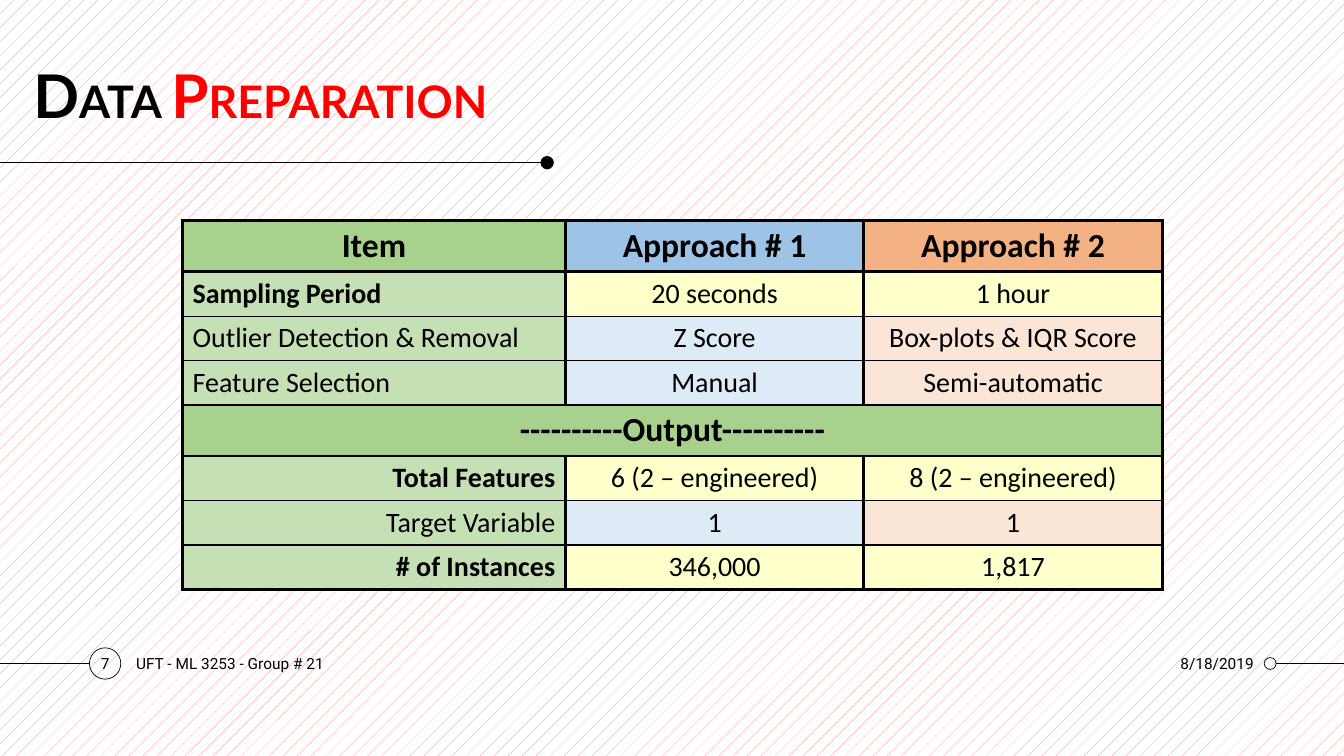
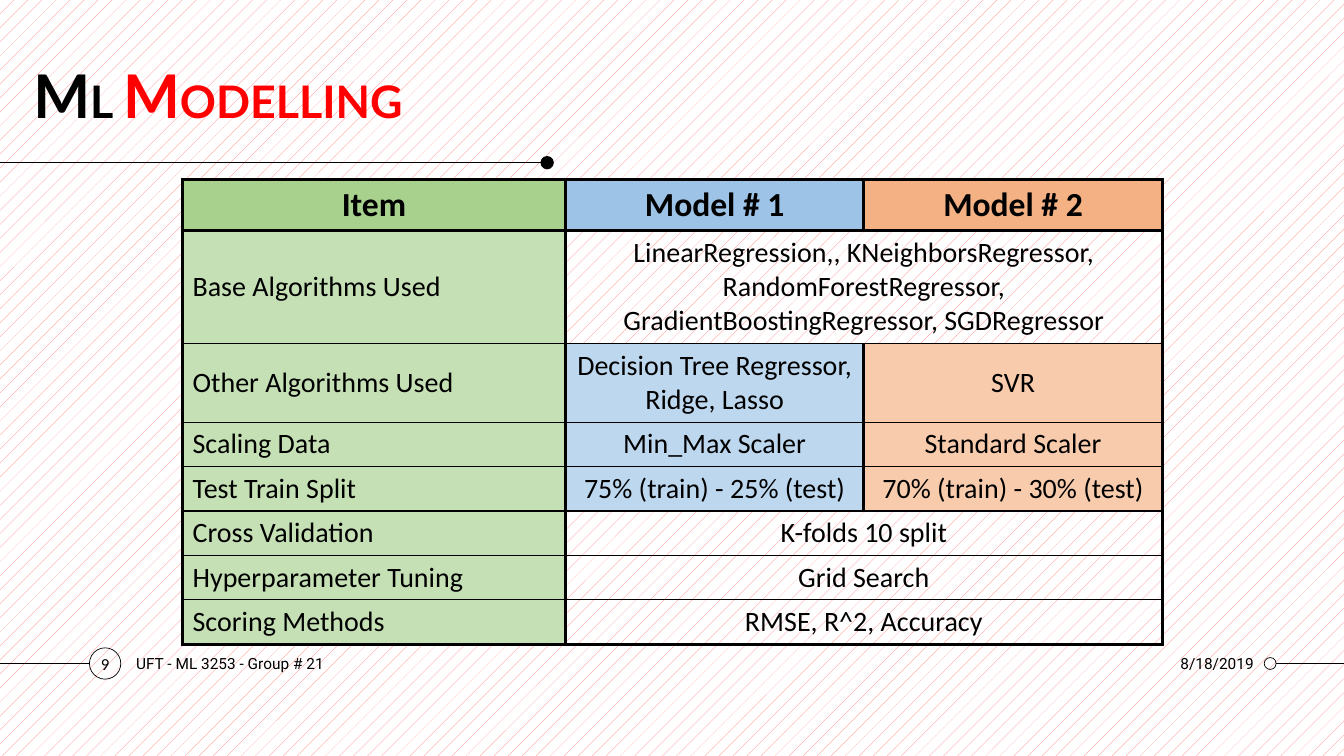
import dataclasses

import lxml.etree
import pptx
import pptx.dml.color
import pptx.enum.dml
import pptx.enum.shapes
import pptx.enum.text
import pptx.oxml.ns
import pptx.util

Cm = pptx.util.Cm
Pt = pptx.util.Pt
ALIGN = pptx.enum.text.PP_ALIGN
MIDDLE = pptx.enum.text.MSO_ANCHOR.MIDDLE


@dataclasses.dataclass(frozen=True)
class Theme:
    """Colours, fonts, type sizes and line widths of the deck."""

    ink: str = "000000"
    accent: str = "FF0000"
    paper: str = "FFFFFF"
    pattern: str = "FF7979"
    header_fills: tuple = ("A9D18E", "9DC3E6", "F4B183")
    label_fill: str = "C5E0B4"
    pale_fills: tuple = ("DEEBF7", "FBE5D6")
    medium_fills: tuple = ("BDD7EE", "F8CBAD")
    highlight_fill: str = "FFFFCC"
    title_font: str = "Lato"
    table_font: str = "Calibri"
    footer_font: str = "Roboto"
    initial_size: int = 43
    title_size: int = 32
    header_size: int = 24
    body_size: int = 20
    footer_size: int = 11
    thick: float = 2.25
    thin: float = 1
    hairline: float = 0.5


@dataclasses.dataclass(frozen=True)
class Box:
    """A region of the page, in centimetres."""

    left: float
    top: float
    width: float
    height: float = 0

    def lengths(self):
        """Return the four measures as lengths."""
        return [Cm(value) for value in dataclasses.astuple(self)]


@dataclasses.dataclass(frozen=True)
class Row:
    """One table row; a single value spans both value columns."""

    label: str
    values: tuple = ()
    lines: int = 1
    highlight: bool = False
    bold: bool = False
    align: ALIGN = ALIGN.LEFT


THEME = Theme()
PAGE = Box(0, 0, 33.87, 19.05)
HEADING = Box(0, 1.09, 23.95, 2.79)
FOOTER = Box(0, 16.21, PAGE.width, 1.02)
COLUMN_WIDTHS = (9.65, 7.52, 7.52)
TABLE_LEFT = 4.6


def colour(code):
    """Turn a hexadecimal code into a colour."""
    return pptx.dml.color.RGBColor.from_string(code)


def style(para, name, size, bold=False, align=ALIGN.LEFT):
    """Format a whole paragraph."""
    para.alignment = align
    para.font.name = name
    para.font.size = Pt(size)
    para.font.bold = bold
    para.font.color.rgb = colour(THEME.ink)


def add_rule(page, start, end, y):
    """Draw a horizontal hairline."""
    rule = page.shapes.add_connector(
        pptx.enum.shapes.MSO_CONNECTOR.STRAIGHT, Cm(start), Cm(y), Cm(end), Cm(y))
    rule.line.color.rgb = colour(THEME.ink)
    rule.line.width = Pt(THEME.hairline)
    lxml.etree.SubElement(rule._element.spPr, pptx.oxml.ns.qn("a:effectLst"))


def add_circle(page, centre, y, diameter, filled=False):
    """Draw a circle around a point, solid or hollow."""
    box = Box(centre - diameter / 2, y - diameter / 2, diameter, diameter)
    circle = page.shapes.add_shape(
        pptx.enum.shapes.MSO_SHAPE.OVAL, *box.lengths())
    circle.shadow.inherit = False
    circle.line.color.rgb = colour(THEME.ink)
    circle.line.width = Pt(THEME.thin if filled else THEME.hairline)
    if filled:
        circle.fill.solid()
        circle.fill.fore_color.rgb = colour(THEME.ink)
    else:
        circle.fill.background()


def add_label(page, box, text, align=ALIGN.LEFT, name=THEME.footer_font,
              size=THEME.footer_size):
    """Place one line of vertically centred text."""
    frame = page.shapes.add_textbox(*box.lengths()).text_frame
    frame.word_wrap = True
    frame.vertical_anchor = MIDDLE
    para = frame.paragraphs[0]
    para.text = text
    style(para, name, size, align=align)


def add_heading(page, box, words):
    """Set the two-colour title with large initials above its rule."""
    indent, rule_end = 0.84, 13.79
    rule_y = box.top + box.height + 0.22
    add_rule(page, box.left, box.left + rule_end, rule_y)
    add_circle(page, box.left + rule_end, rule_y, 0.3, filled=True)
    title = page.shapes.title
    title.left, title.top, title.width, title.height = Box(
        box.left + indent, box.top, box.width - indent, box.height).lengths()
    frame = title.text_frame
    frame.auto_size = pptx.enum.text.MSO_AUTO_SIZE.NONE
    frame.vertical_anchor = MIDDLE
    frame.margin_left = frame.margin_top = 0
    frame.margin_right = frame.margin_bottom = 0
    para = frame.paragraphs[0]
    style(para, THEME.title_font, THEME.title_size, bold=True)
    para.line_spacing = 0.9
    for word, code in zip(words, (THEME.ink, THEME.accent)):
        for text, size in ((word[0], THEME.initial_size),
                           (word[1:], THEME.title_size)):
            span = para.add_run()
            span.text = text
            span.font.size = Pt(size)
            span.font.color.rgb = colour(code)


def add_footer(page, box, number, number_font, number_size):
    """Place the page number, group name and date with their ornaments."""
    middle = box.top + box.height / 2
    right = box.left + box.width
    badge, badge_size = box.left + 2.65, 0.79
    ring, ring_size = right - 1.86, 0.3
    add_rule(page, box.left, badge - badge_size / 2, middle)
    add_circle(page, badge, middle, badge_size)
    add_rule(page, ring + ring_size / 2, right, middle)
    add_circle(page, ring, middle, ring_size)
    add_label(page, Box(badge - 0.54, box.top, 1.08, box.height), str(number),
              ALIGN.CENTER, number_font, number_size)
    add_label(page, Box(box.left + 3.18, box.top, 11.43, box.height),
              "UFT - ML 3253 - Group # 21")
    add_label(page, Box(right - 9.64, box.top, 7.62, box.height),
              "8/18/2019", ALIGN.RIGHT)


def set_borders(cell, top, bottom):
    """Draw the four edges of a cell; the sides are always thick."""
    edges = {"L": THEME.thick, "R": THEME.thick, "T": top, "B": bottom}
    properties = cell._tc.get_or_add_tcPr()
    for side, width in edges.items():
        edge = lxml.etree.SubElement(
            properties, pptx.oxml.ns.qn(f"a:ln{side}"), w=str(Pt(width)))
        solid = lxml.etree.SubElement(edge, pptx.oxml.ns.qn("a:solidFill"))
        lxml.etree.SubElement(
            solid, pptx.oxml.ns.qn("a:srgbClr"), val=THEME.ink)


def fill_cell(cell, text, fill, size, bold, align):
    """Write and colour one cell; without a fill it stays clear."""
    if fill:
        cell.fill.solid()
        cell.fill.fore_color.rgb = colour(fill)
    else:
        cell.fill.background()
    cell.vertical_anchor = MIDDLE
    para = cell.text_frame.paragraphs[0]
    para.text = text
    style(para, THEME.table_font, size, bold, align)


def add_comparison(page, box, headers, rows, value_fills):
    """Build the table of items against two alternatives."""
    rows = [Row(headers[0], headers[1:]), *rows]
    table = page.shapes.add_table(
        len(rows), len(COLUMN_WIDTHS), *box.lengths()).table
    table.first_row = table.horz_banding = False
    for column, width in zip(table.columns, COLUMN_WIDTHS):
        column.width = Cm(width)
    strong = [index == 0 or not row.values for index, row in enumerate(rows)]
    for index, row in enumerate(rows):
        size = THEME.header_size if strong[index] else THEME.body_size
        table.rows[index].height = Cm(0.25 + row.lines * size * 0.043)
        cells = [table.cell(index, column) for column in range(3)]
        above = strong[index] or strong[index - 1]
        below = strong[index] or index + 1 == len(rows) or strong[index + 1]
        for cell in cells:
            set_borders(cell, THEME.thick if above else THEME.thin,
                        THEME.thick if below else THEME.thin)
        if len(row.values) < 2:
            cells[len(row.values)].merge(cells[-1])
        if strong[index]:
            fills = THEME.header_fills
        elif row.highlight:
            fills = (THEME.label_fill,) + (THEME.highlight_fill,) * 2
        elif len(row.values) == 1:
            fills = (THEME.label_fill, None)
        else:
            fills = (THEME.label_fill, *value_fills)
        for column, text in enumerate((row.label, *row.values)):
            label = column == 0 and not strong[index]
            fill_cell(cells[column], text, fills[column], size,
                      strong[index] or (label and row.bold),
                      row.align if label else ALIGN.CENTER)


def add_page(deck, words, number, number_style, table_top, headers, rows,
             value_fills):
    """Add one slide with heading, comparison table and footer."""
    page = deck.slides.add_slide(deck.slide_layouts[5])
    add_heading(page, HEADING, words)
    add_comparison(page, Box(TABLE_LEFT, table_top, sum(COLUMN_WIDTHS), 1),
                   headers, rows, value_fills)
    add_footer(page, FOOTER, number, *number_style)


def main():
    """Build and save the deck."""
    deck = pptx.Presentation()
    deck.slide_width, deck.slide_height = Cm(PAGE.width), Cm(PAGE.height)
    backdrop = deck.slide_master.background.fill
    backdrop.patterned()
    backdrop.pattern = pptx.enum.dml.MSO_PATTERN.PERCENT_5
    backdrop.fore_color.rgb = colour(THEME.pattern)
    backdrop.back_color.rgb = colour(THEME.paper)
    add_page(
        deck, ("DATA ", "PREPARATION"), 7, (THEME.footer_font, 11), 5.56,
        ("Item", "Approach # 1", "Approach # 2"),
        [Row("Sampling Period", ("20 seconds", "1 hour"),
             highlight=True, bold=True),
         Row("Outlier Detection & Removal", ("Z Score", "Box-plots & IQR Score")),
         Row("Feature Selection", ("Manual", "Semi-automatic")),
         Row("----------Output----------"),
         Row("Total Features", ("6 (2 – engineered)", "8 (2 – engineered)"),
             highlight=True, bold=True, align=ALIGN.RIGHT),
         Row("Target Variable", ("1", "1"), align=ALIGN.RIGHT),
         Row("# of Instances", ("346,000", "1,817"),
             highlight=True, bold=True, align=ALIGN.RIGHT)],
        THEME.pale_fills)
    add_page(
        deck, ("ML ", "MODELLING"), 9, (THEME.table_font, 12), 4.52,
        ("Item", "Model # 1", "Model # 2"),
        [Row("Base Algorithms Used",
             ("LinearRegression,, KNeighborsRegressor, RandomForestRegressor, "
              "GradientBoostingRegressor, SGDRegressor",), lines=3),
         Row("Other Algorithms Used",
             ("Decision Tree Regressor, Ridge, Lasso", "SVR"), lines=2),
         Row("Scaling Data", ("Min_Max Scaler", "Standard Scaler")),
         Row("Test Train Split",
             ("75% (train) - 25% (test)", "70% (train) - 30% (test)")),
         Row("Cross Validation", ("K-folds 10 split",)),
         Row("Hyperparameter Tuning", ("Grid Search",)),
         Row("Scoring Methods", ("RMSE, R^2, Accuracy",))],
        THEME.medium_fills)
    deck.save("out.pptx")


if __name__ == "__main__":
    main()
